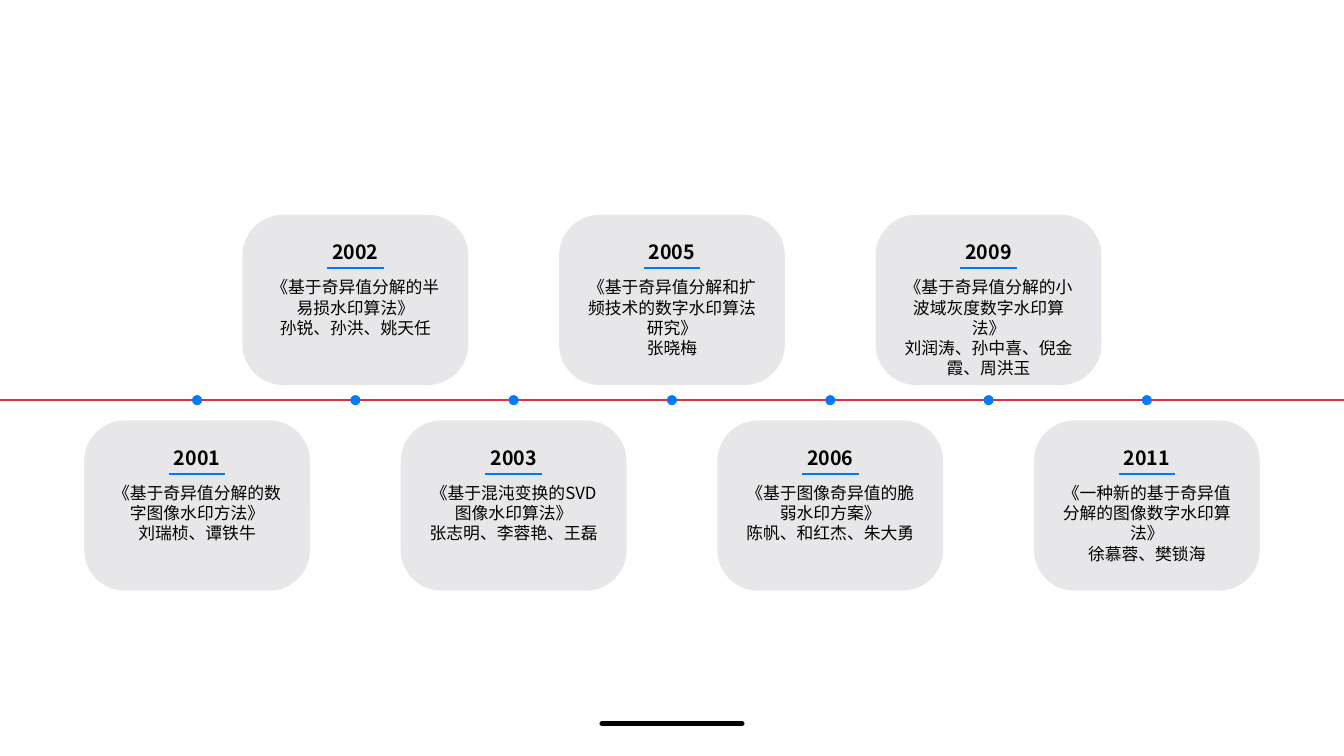
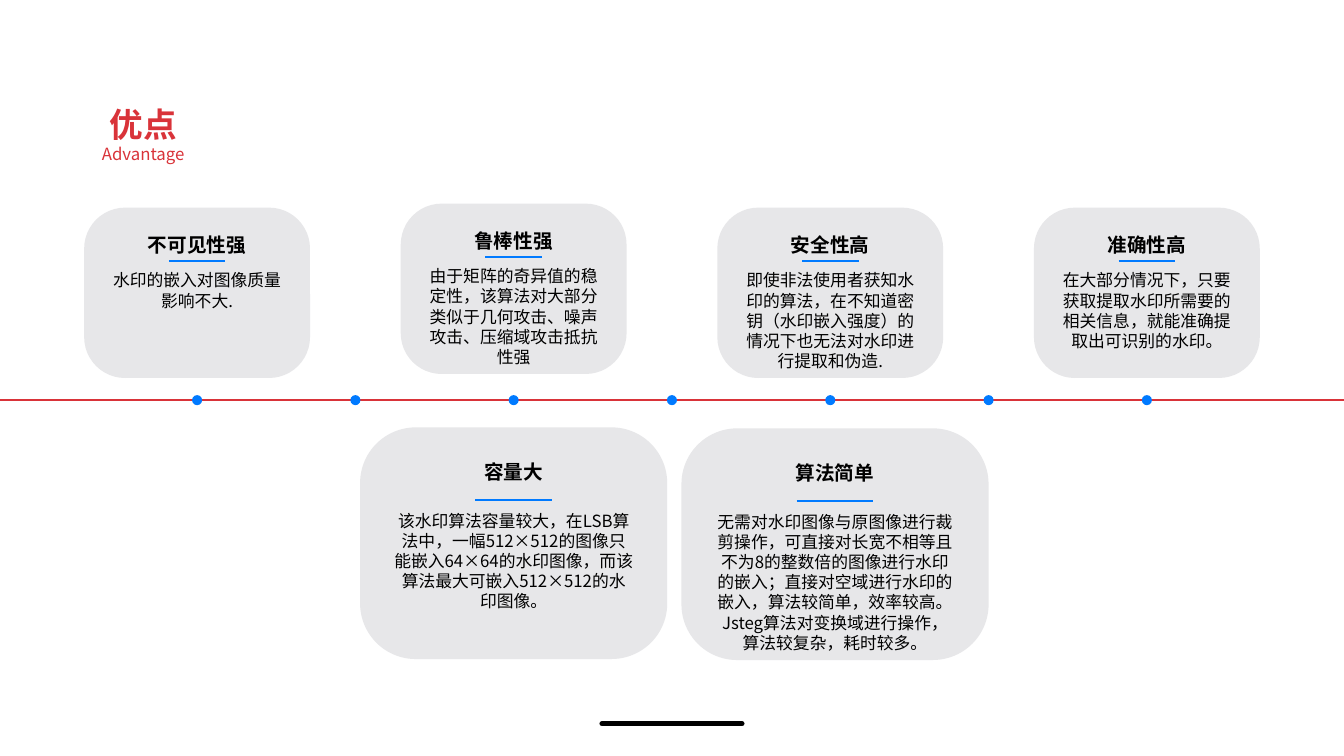
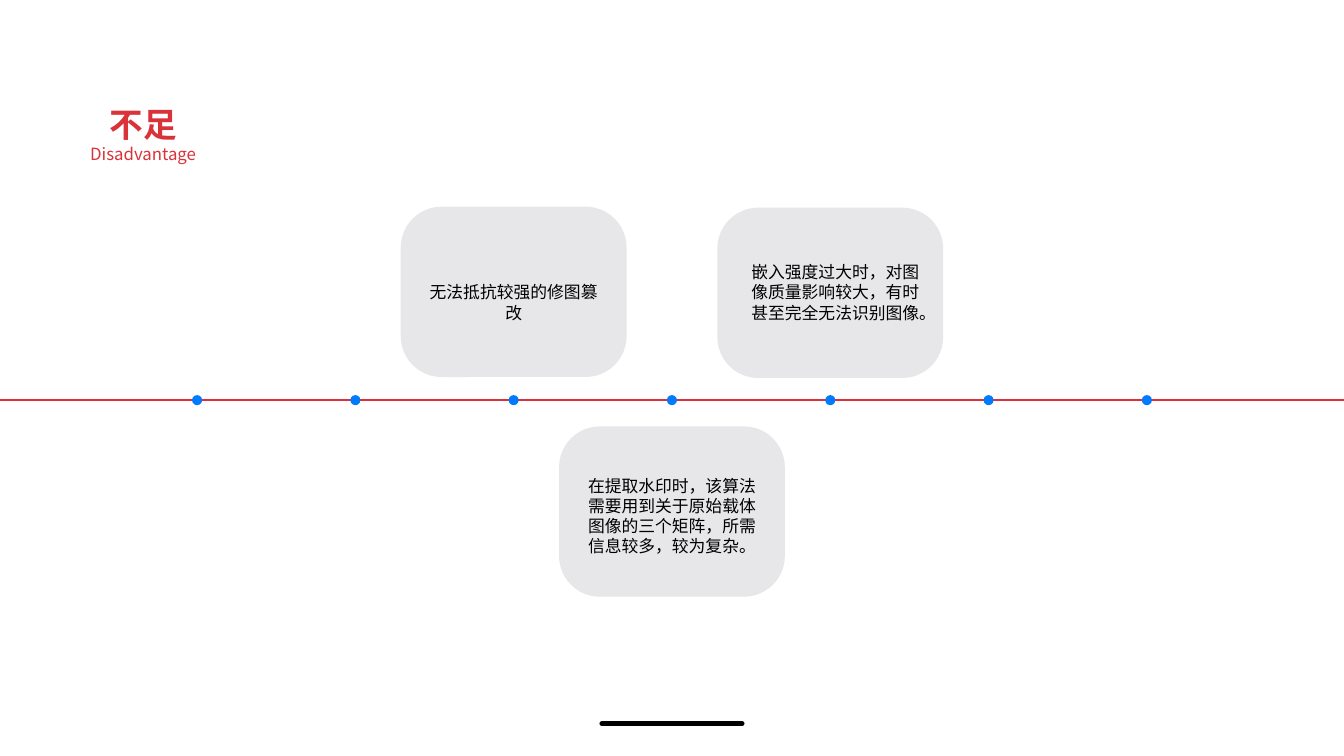
from lxml import etree
from pptx import Presentation
from pptx.dml.color import RGBColor
from pptx.enum.lang import MSO_LANGUAGE_ID
from pptx.enum.shapes import MSO_CONNECTOR, MSO_SHAPE
from pptx.enum.text import MSO_ANCHOR, MSO_AUTO_SIZE, PP_ALIGN
from pptx.oxml.ns import qn
from pptx.util import Inches, Pt

STRAIGHT = MSO_CONNECTOR.STRAIGHT
ROUNDED, DOT = MSO_SHAPE.ROUNDED_RECTANGLE, MSO_SHAPE.OVAL
CENTER, TOP, FIXED_SIZE = PP_ALIGN.CENTER, MSO_ANCHOR.TOP, MSO_AUTO_SIZE.NONE
CHINESE = MSO_LANGUAGE_ID.SIMPLIFIED_CHINESE

# Shared look
COLORS = {"red": "D93339", "blue": "007AFF", "card": "E7E7E9", "text": "000000"}
FONT = "Noto Sans CJK SC"
TITLE_SIZE, HEADING_SIZE, BODY_SIZE = 24, 14, 12
LINE_HEIGHT = 1.2

# Timeline grid, in inches
SLIDE_WIDTH, SLIDE_HEIGHT = 13.33, 7.5
COLUMN_COUNT, COLUMN_STEP = 7, 1.57
AXIS_Y, DOT_SIZE = 3.97, 0.1
CARD_WIDTH, CARD_HEIGHT, CARD_ROUNDING = 2.24, 1.69, 0.24
LARGE = 1.36

# Content: (column, card top, scale, heading, body paragraphs)
HISTORY_CARDS = [
    (0, 4.17, 1, "2001", ["《基于奇异值分解的数字图像水印方法》", "刘瑞桢、谭铁牛"]),
    (1, 2.13, 1, "2002", ["《基于奇异值分解的半易损水印算法》", "孙锐、孙洪、姚天任"]),
    (2, 4.17, 1, "2003", ["《基于混沌变换的SVD图像水印算法》", "张志明、李蓉艳、王磊"]),
    (3, 2.13, 1, "2005", ["《基于奇异值分解和扩频技术的数字水印算法研究》", "张晓梅"]),
    (4, 4.17, 1, "2006", ["《基于图像奇异值的脆弱水印方案》", "陈帆、和红杰、朱大勇"]),
    (5, 2.13, 1, "2009", ["《基于奇异值分解的小波域灰度数字水印算法》",
                          "刘润涛、孙中喜、倪金霞、周洪玉"]),
    (6, 4.17, 1, "2011", ["《一种新的基于奇异值分解的图像数字水印算法》", "徐慕蓉、樊锁海"]),
]
ADVANTAGE_CARDS = [
    (0, 2.06, 1, "不可见性强", ["水印的嵌入对图像质量影响不大."]),
    (2, 2.02, 1, "鲁棒性强",
     ["由于矩阵的奇异值的稳定性，该算法对大部分类似于几何攻击、噪声攻击、压缩域攻击抵抗性强"]),
    (4, 2.06, 1, "安全性高",
     ["即使非法使用者获知水印的算法，在不知道密钥（水印嵌入强度）的情况下也无法对水印进行提取和伪造."]),
    (6, 2.06, 1, "准确性高",
     ["在大部分情况下，只要获取提取水印所需要的相关信息，就能准确提取出可识别的水印。"]),
    (2, 4.24, LARGE, "容量大",
     ["该水印算法容量较大，在LSB算法中，一幅512×512的图像只能嵌入64×64的水印图像，"
      "而该算法最大可嵌入512×512的水印图像。"]),
    (4.03, 4.25, LARGE, "算法简单",
     ["无需对水印图像与原图像进行裁剪操作，可直接对长宽不相等且不为8的整数倍的图像进行水印的嵌入；"
      "直接对空域进行水印的嵌入，算法较简单，效率较高。Jsteg算法对变换域进行操作，算法较复杂，耗时较多。"]),
]
# Content: (column, card top, text, text top and shift inside the card)
DISADVANTAGE_CARDS = [
    (2, 2.05, "无法抵抗较强的修图篡改", 0.7, 0),
    (4, 2.06, "嵌入强度过大时，对图像质量影响较大，有时甚至完全无法识别图像。", 0.49, 0.05),
    (3, 4.23, "在提取水印时，该算法需要用到关于原始载体图像的三个矩阵，所需信息较多，较为复杂。", 0.44, 0),
]


def rgb(name):
    return RGBColor.from_string(COLORS[name])


def column_center(column):
    return SLIDE_WIDTH / 2 + (column - COLUMN_COUNT // 2) * COLUMN_STEP


def write(shape, lines, color):
    """Fill a shape with centred lines, each given as (text, size, bold)."""
    frame = shape.text_frame
    frame.word_wrap = True
    frame.auto_size = FIXED_SIZE
    frame.vertical_anchor = TOP
    for index, (text, size, bold) in enumerate(lines):
        paragraph = frame.add_paragraph() if index else frame.paragraphs[0]
        paragraph.alignment = CENTER
        paragraph.line_spacing = Pt(size * LINE_HEIGHT)
        paragraph.space_before = Pt(0)
        run = paragraph.add_run()
        run.text = text
        run.font.size = Pt(size)
        run.font.bold = bold
        run.font.name = FONT
        run.font.language_id = CHINESE
        run.font.color.rgb = rgb(color)
    for properties in shape.element.iter(qn("a:rPr")):
        etree.SubElement(properties, qn("a:ea")).set("typeface", FONT)


def add_text(shapes, center, top, width, height, lines):
    box = shapes.add_textbox(Inches(center - width / 2), Inches(top),
                             Inches(width), Inches(height))
    write(box, lines, "text")


def add_line(shapes, center, y, length, color, weight):
    line = shapes.add_connector(STRAIGHT, Inches(center - length / 2), Inches(y),
                                Inches(center + length / 2), Inches(y))
    line.line.color.rgb = rgb(color)
    line.line.width = Pt(weight)
    etree.SubElement(line.element.spPr, qn("a:effectLst"))
    return line


def add_filled(shapes, kind, center, top, width, height, color):
    shape = shapes.add_shape(kind, Inches(center - width / 2), Inches(top),
                             Inches(width), Inches(height))
    shape.shadow.inherit = False
    shape.fill.solid()
    shape.fill.fore_color.rgb = rgb(color)
    shape.line.fill.background()
    return shape


def add_panel(shapes, center, top, scale=1):
    panel = add_filled(shapes, ROUNDED, center, top,
                       CARD_WIDTH * scale, CARD_HEIGHT * scale, "card")
    panel.adjustments[0] = CARD_ROUNDING


def add_body(shapes, center, top, scale, paragraphs):
    add_text(shapes, center, top, 1.89 * scale, 0.91 * scale,
             [(text, BODY_SIZE, False) for text in paragraphs])


def add_headed_card(slide, column, top, scale, heading, paragraphs):
    shapes = slide.shapes.add_group_shape().shapes
    center = column_center(column)
    add_panel(shapes, center, top, scale)
    add_body(shapes, center, top + 0.57 * scale, scale, paragraphs)
    add_text(shapes, center, top + 0.2 * scale, 1.27 * scale, 0.34 * scale,
             [(heading, HEADING_SIZE, True)])
    add_line(shapes, center, top + 0.53 * scale, 0.56 * scale, "blue", 1.5)


def add_plain_card(slide, column, top, text, text_top, shift):
    shapes = slide.shapes.add_group_shape().shapes
    center = column_center(column)
    add_panel(shapes, center, top)
    add_body(shapes, center + shift, top + text_top, 1, [text])


def add_timeline(slide):
    shapes = slide.shapes.add_group_shape().shapes
    add_line(shapes, SLIDE_WIDTH / 2, AXIS_Y, SLIDE_WIDTH, "red", 1.5)
    for column in range(COLUMN_COUNT):
        add_filled(shapes, DOT, column_center(column), AXIS_Y - DOT_SIZE / 2,
                   DOT_SIZE, DOT_SIZE, "blue")


def add_title(slide, chinese, english):
    title = slide.shapes.title
    title.left, title.top = Inches(0), Inches(0.98)
    title.width, title.height = Inches(2.84), Inches(0.71)
    write(title, [(chinese, TITLE_SIZE, True), (english, BODY_SIZE, False)], "red")


def add_master_bar(presentation, slide):
    """Draw the bottom bar once and move it to the slide master."""
    bar = add_line(slide.shapes, SLIDE_WIDTH / 2, 7.18, 1.39, "text", 3.5)
    bar.element.spPr.find(qn("a:ln")).set("cap", "rnd")
    presentation.slide_master.shapes.element.append(bar.element)


def main():
    presentation = Presentation()
    presentation.slide_width = Inches(SLIDE_WIDTH)
    presentation.slide_height = Inches(SLIDE_HEIGHT)
    title_only = presentation.slide_layouts.get_by_name("Title Only")
    blank = presentation.slide_layouts.get_by_name("Blank")

    # History
    history = presentation.slides.add_slide(blank)
    add_master_bar(presentation, history)
    for card in HISTORY_CARDS:
        add_headed_card(history, *card)
    add_timeline(history)

    # Advantages
    advantages = presentation.slides.add_slide(title_only)
    add_title(advantages, "优点", "Advantage")
    for card in ADVANTAGE_CARDS:
        add_headed_card(advantages, *card)
    add_timeline(advantages)

    # Disadvantages
    disadvantages = presentation.slides.add_slide(title_only)
    add_title(disadvantages, "不足", "Disadvantage")
    for card in DISADVANTAGE_CARDS:
        add_plain_card(disadvantages, *card)
    add_timeline(disadvantages)

    presentation.save("out.pptx")


if __name__ == "__main__":
    main()
